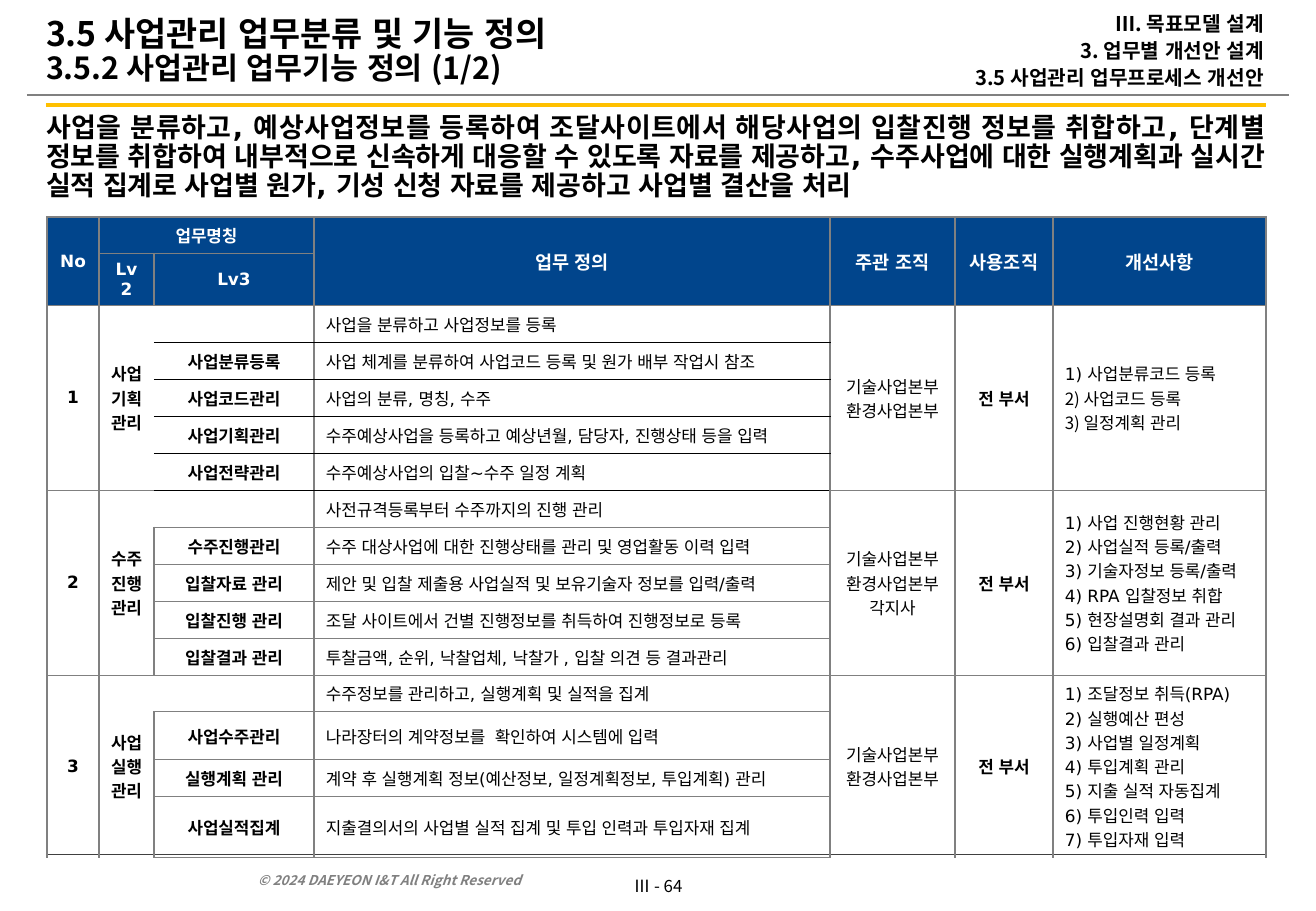
from dataclasses import dataclass

from lxml.etree import SubElement
from pptx import Presentation
from pptx.dml.color import RGBColor
from pptx.enum.lang import MSO_LANGUAGE_ID
from pptx.enum.shapes import MSO_CONNECTOR
from pptx.enum.text import MSO_ANCHOR, MSO_AUTO_SIZE, PP_ALIGN
from pptx.oxml.ns import qn
from pptx.util import Pt

TITLE = ("3.5 사업관리 업무분류 및 기능 정의", "3.5.2 사업관리 업무기능 정의 (1/2)")
BREADCRUMB = ("Ⅲ. 목표모델 설계", "3. 업무별 개선안 설계", "3.5 사업관리 업무프로세스 개선안")
SUMMARY = (
    "사업을 분류하고, 예상사업정보를 등록하여 조달사이트에서 해당사업의 입찰진행 정보를 취합하고, "
    "단계별 정보를 취합하여 내부적으로 신속하게 대응할 수 있도록 자료를 제공하고, "
    "수주사업에 대한 실행계획과 실시간 실적 집계로 사업별 원가, 기성 신청 자료를 제공하고 "
    "사업별 결산을 처리"
)
PAGE_LABEL = "Ⅲ - 64"
COPYRIGHT = "© 2024 DAEYEON I&T All Right Reserved"
USERS = "전 부서"

# row, column, row span, column span, label, size
HEADERS = [
    (0, 0, 2, 1, "No", 10),
    (0, 1, 1, 2, "업무명칭", 10),
    (0, 3, 2, 1, "업무 정의", 11),
    (0, 4, 2, 1, "주관 조직", 11),
    (0, 5, 2, 1, "사용조직", 11),
    (0, 6, 2, 1, "개선사항", 11),
    (1, 1, 1, 1, "Lv2", 10),
    (1, 2, 1, 1, "Lv3", 10),
]

# Lv2 name, (Lv3 name, definition) rows, owners, improvements
GROUPS = [
    ("사업기획관리",
     [("", "사업을 분류하고 사업정보를 등록"),
      ("사업분류등록", "사업 체계를 분류하여 사업코드 등록 및 원가 배부 작업시 참조"),
      ("사업코드관리", "사업의 분류, 명칭, 수주"),
      ("사업기획관리", "수주예상사업을 등록하고 예상년월, 담당자, 진행상태 등을 입력"),
      ("사업전략관리", "수주예상사업의 입찰~수주 일정 계획")],
     ["기술사업본부", "환경사업본부"],
     ["사업분류코드 등록", "사업코드 등록", "일정계획 관리"]),
    ("수주진행관리",
     [("", "사전규격등록부터 수주까지의 진행 관리"),
      ("수주진행관리", "수주 대상사업에 대한 진행상태를 관리 및 영업활동 이력 입력"),
      ("입찰자료 관리", "제안 및 입찰 제출용 사업실적 및 보유기술자 정보를 입력/출력"),
      ("입찰진행 관리", "조달 사이트에서 건별 진행정보를 취득하여 진행정보로 등록"),
      ("입찰결과 관리", "투찰금액, 순위, 낙찰업체, 낙찰가 , 입찰 의견 등 결과관리")],
     ["기술사업본부", "환경사업본부", "각지사"],
     ["사업 진행현황 관리", "사업실적 등록/출력", "기술자정보 등록/출력",
      "RPA 입찰정보 취합", "현장설명회 결과 관리", "입찰결과 관리"]),
    ("사업실행관리",
     [("", "수주정보를 관리하고, 실행계획 및 실적을 집계"),
      ("사업수주관리", "나라장터의 계약정보를  확인하여 시스템에 입력"),
      ("실행계획 관리", "계약 후 실행계획 정보(예산정보, 일정계획정보, 투입계획) 관리"),
      ("사업실적집계", "지출결의서의 사업별 실적 집계 및 투입 인력과 투입자재 집계")],
     ["기술사업본부", "환경사업본부"],
     ["조달정보 취득(RPA)", "실행예산 편성", "사업별 일정계획", "투입계획 관리",
      "지출 실적 자동집계", "투입인력 입력", "투입자재 입력"]),
]

COLUMN_WIDTHS = [52, 55, 160, 516, 125, 98, 213]
ROW_HEIGHTS = [35, 52] + [37] * 10 + [36, 48, 37, 60]
NO_STYLE = "{2D5ABB26-0587-4C30-8999-92F81FD0307C}"


@dataclass(frozen=True)
class Theme:
    black: str = "000000"
    white: str = "FFFFFF"
    gray: str = "808080"
    dark: str = "404040"
    gold: str = "FFC000"
    navy: str = "01458C"
    latin: str = "DejaVu Sans"
    korean: str = "Noto Sans CJK KR"
    title: int = 20
    subtitle: int = 18
    summary: int = 16
    breadcrumb: int = 12
    cell: int = 10
    footer: int = 8
    spacing: float = 0.9


THEME = Theme()
# x1, x2, y, colour, points
RULES = [(27, 1289, 95, THEME.gray, 1.5), (46, 1266, 105, THEME.gold, 2.5),
         (46, 1266, 854, THEME.dark, 0.5)]
GRID_LINE, THIN_LINE = (THEME.gray, 1), (THEME.black, 0.25)


def px(length):
    return round(length * 914400 / 121.5)


def style_run(run, size, color=THEME.black, bold=False, latin=THEME.korean, italic=False):
    font = run.font
    font.size, font.bold, font.italic, font.name = Pt(size), bold, italic, latin
    font.language_id = MSO_LANGUAGE_ID.KOREAN
    font.color.rgb = RGBColor.from_string(color)
    SubElement(run._r.rPr, qn("a:ea"), typeface=THEME.korean)


def place(shape, left, top, width, height):
    shape.left, shape.top, shape.width, shape.height = map(px, (left, top, width, height))


def fill_box(shape, text, size, align, anchor, spacing=None, before=0, margin=0, **style):
    frame = shape.text_frame
    frame.text = text
    frame.word_wrap, frame.auto_size = True, MSO_AUTO_SIZE.NONE
    frame.vertical_anchor = anchor
    frame.margin_left = frame.margin_right = px(margin)
    frame.margin_top = frame.margin_bottom = px(margin / 2)
    for index, paragraph in enumerate(frame.paragraphs):
        properties = paragraph._p.get_or_add_pPr()
        properties.set("marL", "0")
        properties.set("indent", "0")
        SubElement(properties, qn("a:buNone"))
        paragraph.alignment, paragraph.line_spacing = align, spacing
        paragraph.space_before = Pt(before if index else 0)
        for run in paragraph.runs:
            style_run(run, size, **style)


def add_rule(slide, x1, x2, y, color, points):
    rule = slide.shapes.add_connector(MSO_CONNECTOR.STRAIGHT, px(x1), px(y), px(x2), px(y))
    rule.line.color.rgb = RGBColor.from_string(color)
    rule.line.width = Pt(points)
    SubElement(rule._element.spPr, qn("a:effectLst"))


def row_line(row):
    """Line below a row: thin and black inside and under the first group."""
    return THIN_LINE if 2 <= row < 2 + len(GROUPS[0][1]) else GRID_LINE


def add_border(cell, edge, line):
    """Draw one cell edge, or switch it off when line is None."""
    border = SubElement(cell._tc.get_or_add_tcPr(), qn(f"a:ln{edge}"))
    if line is None:
        SubElement(border, qn("a:noFill"))
        return
    color, points = line
    border.set("w", str(Pt(points)))
    SubElement(SubElement(border, qn("a:solidFill")), qn("a:srgbClr"), val=color)


def put(table, row, col, lines, rows=1, cols=1, align=PP_ALIGN.CENTER, fill=None,
        open_edges="", size=THEME.cell, margin=12, **style):
    """Fill one cell, merged over rows and cols, and draw its outer edges."""
    last_row, last_col = row + rows - 1, col + cols - 1
    main = table.cell(row, col)
    if rows * cols > 1:
        main.merge(table.cell(last_row, last_col))
    main.vertical_anchor = MSO_ANCHOR.MIDDLE
    main.margin_left = main.margin_right = px(margin)
    main.text_frame.text = "\n".join(lines)
    for paragraph in main.text_frame.paragraphs:
        paragraph.alignment = align
        for run in paragraph.runs:
            style_run(run, size, **style)

    left_line = row_line(row - 1) if col == 2 and row > 2 else GRID_LINE
    for r in range(row, last_row + 1):
        for c in range(col, last_col + 1):
            cell = table.cell(r, c)
            edges = [("L", c == col, left_line), ("R", c == last_col, GRID_LINE),
                     ("T", r == row, row_line(row - 1)), ("B", r == last_row, row_line(last_row))]
            for edge, outer, line in edges:
                if outer:
                    add_border(cell, edge, None if edge in open_edges else line)
            if fill:
                cell.fill.solid()
                cell.fill.fore_color.rgb = RGBColor.from_string(fill)
            else:
                cell.fill.background()
            if not cell.text_frame.text:
                SubElement(cell.text_frame.paragraphs[0]._p, qn("a:endParaRPr"), sz=str(size * 100))


def build_table(slide):
    table = slide.shapes.add_table(len(ROW_HEIGHTS), len(COLUMN_WIDTHS), px(47), px(217),
                                   px(sum(COLUMN_WIDTHS)), px(sum(ROW_HEIGHTS))).table
    table.first_row = table.horz_banding = False
    table._tbl.tblPr.find(qn("a:tableStyleId")).text = NO_STYLE
    for column, width in zip(table.columns, COLUMN_WIDTHS):
        column.width = px(width)
    for table_row, height in zip(table.rows, ROW_HEIGHTS):
        table_row.height = px(height)

    for row, col, rows, cols, label, size in HEADERS:
        put(table, row, col, [label], rows, cols, fill=THEME.navy, size=size,
            color=THEME.white, bold=True, latin=THEME.latin)
    strong = dict(bold=True, latin=THEME.latin)
    plain = dict(align=PP_ALIGN.LEFT, latin=THEME.latin)
    top = 2
    for number, (level2, tasks, owners, improvements) in enumerate(GROUPS, 1):
        span = len(tasks)
        numbered = [f"{i}) {item}" for i, item in enumerate(improvements, 1)]
        put(table, top, 0, [str(number)], span, **strong)
        put(table, top, 1, [level2], span, open_edges="R", **strong)
        for row, (level3, definition) in enumerate(tasks, top):
            put(table, row, 2, [level3], open_edges="" if level3 else "L", **strong)
            put(table, row, 3, [definition], **plain)
        put(table, top, 4, owners, span, margin=5)
        put(table, top, 5, [USERS], span, **strong)
        put(table, top, 6, numbered, span, **plain)
        if number == 1:
            for paragraph in table.cell(top, 6).text_frame.paragraphs[1:]:
                paragraph.runs[0].font.name = THEME.korean
        top += span


def main():
    deck = Presentation()
    deck.slide_width, deck.slide_height = px(1316), px(911)
    slide = deck.slides.add_slide(deck.slide_layouts[3])
    title, summary, breadcrumb = slide.placeholders
    for rule in RULES:
        add_rule(slide, *rule)

    place(title, 46, 0, 871, 103)
    fill_box(title, "\v".join(TITLE), THEME.title, PP_ALIGN.LEFT, MSO_ANCHOR.MIDDLE,
             THEME.spacing, bold=True)
    title.text_frame.paragraphs[0].runs[1].font.size = Pt(THEME.subtitle)
    place(summary, 46, 114, 1219, 83)
    fill_box(summary, SUMMARY, THEME.summary, PP_ALIGN.JUSTIFY, MSO_ANCHOR.TOP, THEME.spacing,
             bold=True, latin=THEME.latin)
    place(breadcrumb, 835, 0, 429, 104)
    fill_box(breadcrumb, "\n".join(BREADCRUMB), THEME.breadcrumb, PP_ALIGN.RIGHT,
             MSO_ANCHOR.MIDDLE, THEME.spacing, before=2.9, bold=True)

    build_table(slide)
    page = slide.shapes.add_textbox(px(612), px(872), px(92), px(33))
    fill_box(page, PAGE_LABEL, THEME.cell, PP_ALIGN.CENTER, MSO_ANCHOR.TOP, margin=8)
    notice = slide.shapes.add_textbox(px(246), px(861), px(367), px(33))
    fill_box(notice, COPYRIGHT, THEME.footer, PP_ALIGN.LEFT, MSO_ANCHOR.BOTTOM, margin=12,
             color=THEME.gray, bold=True, italic=True)
    deck.save("out.pptx")


if __name__ == "__main__":
    main()
